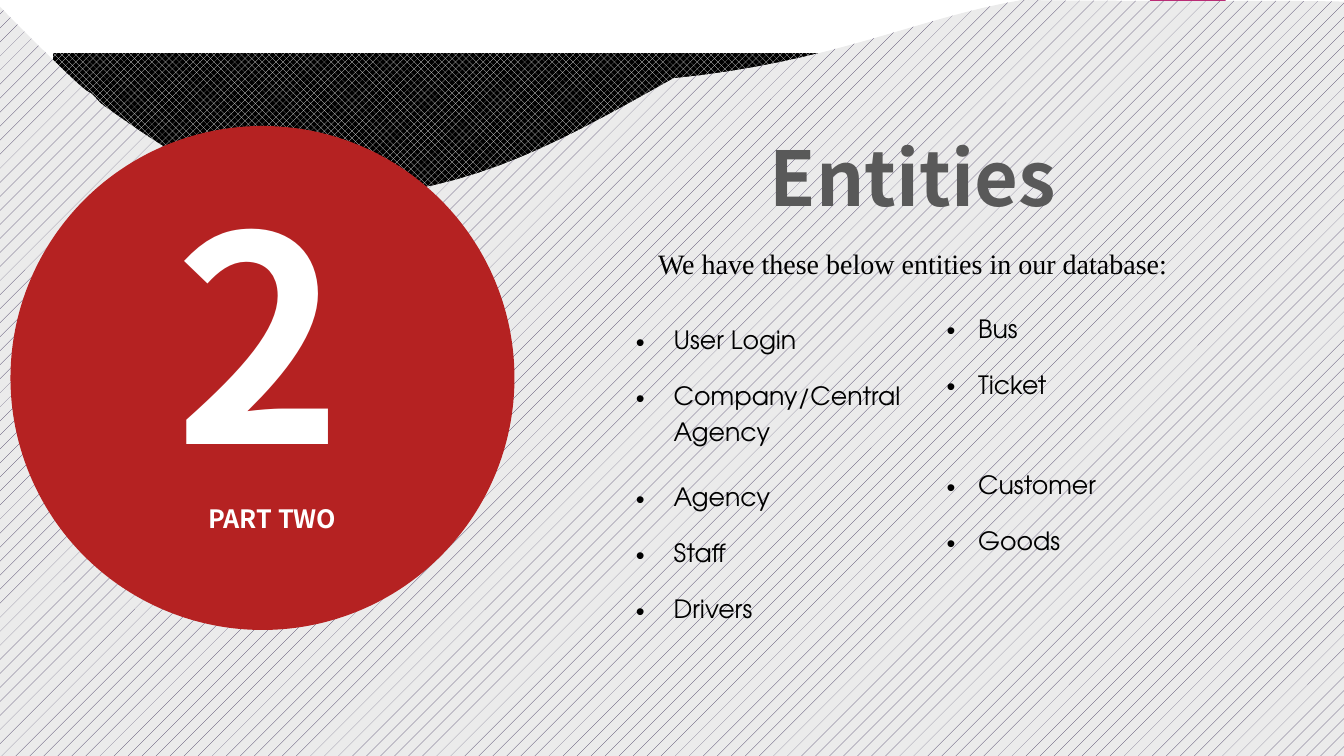
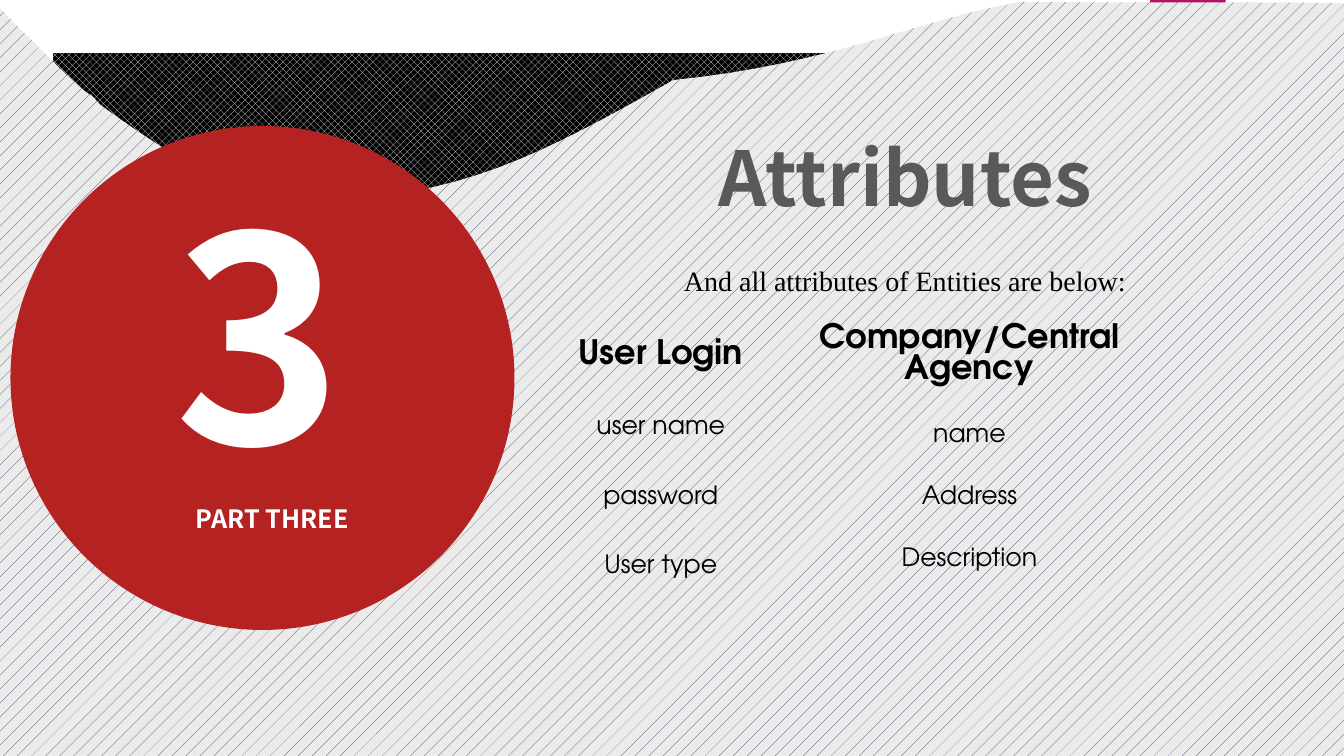
"""Build two section slides that list database entities and attributes."""
import pptx
import pptx.dml.color
import pptx.enum.dml
import pptx.enum.shapes
import pptx.enum.text
import pptx.oxml.ns
import pptx.util
import lxml.etree

Pt = pptx.util.Pt
RGB = pptx.dml.color.RGBColor
SHAPE = pptx.enum.shapes.MSO_SHAPE
ALIGN = pptx.enum.text.PP_ALIGN
ANCHOR = pptx.enum.text.MSO_ANCHOR
PATTERN = pptx.enum.dml.MSO_PATTERN

BLACK = RGB(0x00, 0x00, 0x00)
WHITE = RGB(0xFF, 0xFF, 0xFF)
PALE = RGB(0xEB, 0xEB, 0xEB)
VIOLET = RGB(0x3B, 0x30, 0x59)
PINK = RGB(0xB3, 0x11, 0x66)
RED = RGB(0xB5, 0x22, 0x22)
GREY = RGB(0x59, 0x59, 0x59)

SANS = "Noto Sans CJK SC"
SERIF = "Times New Roman"
ROUND = "TeX Gyre Adventor"
PLAIN = "{2D5ABB26-0587-4C30-8999-92F81FD0307C}"

WIDE, HIGH = 960, 540
START = (0, 5)
CURVES = [
    ((88, 94), (52, 52), (72, 74)),
    ((140, 123), (163, 132.5), (222.5, 142)),
    ((328, 141), (387, 109), (481, 56)),
    ((596, 44.5), (654, 13), (730, 0)),
    ((781, 1.2), (923, 0), (WIDE, 1.2)),
]


def write(frame, text, font=SANS, size=18, color=BLACK, bold=False,
          align=ALIGN.LEFT, lines=1.0, indent=0):
    """Put one formatted paragraph in a text frame, bulleted if indented."""
    para = frame.paragraphs[0]
    para.alignment = align
    para.line_spacing = lines
    run = para.add_run()
    run.text = text
    run.font.name = font
    run.font.size = Pt(size)
    run.font.bold = bold
    run.font.color.rgb = color
    if indent:
        props = para._p.get_or_add_pPr()
        props.set("marL", str(Pt(indent)))
        props.set("indent", str(-Pt(indent)))
        face = lxml.etree.SubElement(props, pptx.oxml.ns.qn("a:buFont"))
        face.set("typeface", "Arial")
        mark = lxml.etree.SubElement(props, pptx.oxml.ns.qn("a:buChar"))
        mark.set("char", "•")


def label(slide, box, text, **style):
    """Add a wrapped text box."""
    frame = slide.shapes.add_textbox(*map(Pt, box)).text_frame
    frame.word_wrap = True
    write(frame, text, **style)


def block(slide, kind, box, color):
    """Add a flat preset shape without an outline."""
    shape = slide.shapes.add_shape(kind, *map(Pt, box))
    shape.shadow.inherit = False
    shape.fill.solid()
    shape.fill.fore_color.rgb = color
    shape.line.fill.background()
    return shape


def hatch(fill, pattern, fore, back):
    """Give a fill a two-colour pattern."""
    fill.patterned()
    fill.pattern = pattern
    fill.fore_color.rgb = fore
    fill.back_color.rgb = back


def curve(start, first, second, end, steps=16):
    """Return points along a cubic curve, without its start."""
    points = []
    for step in range(1, steps + 1):
        t = step / steps
        parts = ((1 - t) ** 3, 3 * t * (1 - t) ** 2, 3 * t * t * (1 - t), t ** 3)
        ends = (start, first, second, end)
        points.append(tuple(sum(k * p[axis] for k, p in zip(parts, ends))
                            for axis in (0, 1)))
    return points


def wave(slide, drop):
    """Draw the hatched sheet with its curved top edge."""
    points, last = [], START
    for bend in CURVES:
        points += curve(last, *bend)
        last = bend[-1]
    edge = [(Pt(x), Pt(y + drop)) for x, y in [START] + points]
    edge += [(Pt(WIDE), Pt(HIGH)), (0, Pt(HIGH))]
    pen = slide.shapes.build_freeform(*edge[0], scale=1.0)
    pen.add_line_segments(edge[1:], close=True)
    sheet = pen.convert_to_shape()
    sheet.shadow.inherit = False
    sheet.line.fill.background()
    hatch(sheet.fill, PATTERN.PERCENT_5, VIOLET, PALE)


def headline(slide, left, text):
    """Place and format the title above the sheet."""
    title = slide.shapes.title
    title.element.getparent().append(title.element)
    title.left, title.top, title.width, title.height = map(Pt, (left, 90, 410, 73))
    frame = title.text_frame
    frame.auto_size = pptx.enum.text.MSO_AUTO_SIZE.NONE
    frame.word_wrap = True
    frame.vertical_anchor = ANCHOR.TOP
    write(frame, text, size=54, color=GREY, bold=True, align=ALIGN.CENTER)


def grid(slide, left, top, width, heights, count):
    """Add a clear table with equal columns and return it."""
    box = map(Pt, (left, top, width * count, sum(heights)))
    table = slide.shapes.add_table(len(heights), count, *box).table
    table.first_row = table.horz_banding = False
    table._tbl.tblPr.find(pptx.oxml.ns.qn("a:tableStyleId")).text = PLAIN
    for row, height in zip(table.rows, heights):
        row.height = Pt(height)
    for cell in table.iter_cells():
        cell.fill.background()
    return table


def bullets(slide, rows):
    """List the entities in two bulleted columns."""
    table = grid(slide, 447, 224.6, 222, (40, 72, 40, 40, 40), 2)
    styles = (dict(lines=1.5, indent=27), dict(indent=22.5))
    for r, row in enumerate(rows):
        for c, text in enumerate(row):
            write(table.cell(r, c).text_frame, text, font=ROUND, **styles[c])


def column(slide, left, top, width, heights, names):
    """List an entity's attributes below its name."""
    table = grid(slide, left, top, width, heights, 1)
    for r, text in enumerate(names):
        cell = table.cell(r, 0)
        cell.margin_left = cell.margin_right = cell.margin_top = Pt(0.7)
        cell.margin_bottom = 0
        cell.vertical_anchor = ANCHOR.BOTTOM
        write(cell.text_frame, text, font=ROUND, size=18 if r else 24,
              bold=r == 0, align=ALIGN.CENTER)


def section(deck, number, part, title, left, intro, top, drop):
    """Add a slide with the shared scenery, number, title and intro."""
    slide = deck.slides.add_slide(deck.slide_layouts[5])
    frame = block(slide, SHAPE.FRAME, (0, 0, WIDE, HIGH), WHITE)
    frame.adjustments[0] = 0.07
    block(slide, SHAPE.RECTANGLE, (821.5, 0, 54, 90), PINK)
    wave(slide, drop)
    block(slide, SHAPE.OVAL, (7.5, 90, 360, 360), RED)
    label(slide, (117.5, 110, 142, 254), number, size=204, color=WHITE, bold=True)
    headline(slide, left, title)
    label(slide, (left - 42, top, 494, 40), intro, font=SERIF, size=20,
          align=ALIGN.CENTER, lines=1.5)
    label(slide, (119.5, 355.7, 150, 29), part, color=WHITE, bold=True,
          align=ALIGN.CENTER)
    return slide


def main():
    """Build and save the deck."""
    deck = pptx.Presentation()
    deck.slide_width, deck.slide_height = Pt(WIDE), Pt(HIGH)
    hatch(deck.slide_master.background.fill, PATTERN.PERCENT_50, PALE, BLACK)

    slide = section(deck, "2", "PART TWO", "Entities", 447,
                    "We have these below entities in our database:", 160.5, 0)
    bullets(slide, [("User Login", "Bus"), ("Company/Central Agency", "Ticket"),
                    ("Agency", "Customer"), ("Staff", "Goods"), ("Drivers",)])

    slide = section(deck, "3", "PART THREE", "Attributes", 441.5,
                    "And all attributes of Entities are below:", 172.8, 1.2)
    column(slide, 363, 210, 218, (54.7, 49.5, 49.5, 49.5),
           ("User Login", "user name", "password", "User type"))
    column(slide, 581.5, 217.5, 222, (58.3, 44, 44, 44),
           ("Company/Central Agency", "name", "Address", "Description"))

    deck.save("out.pptx")


if __name__ == "__main__":
    main()
